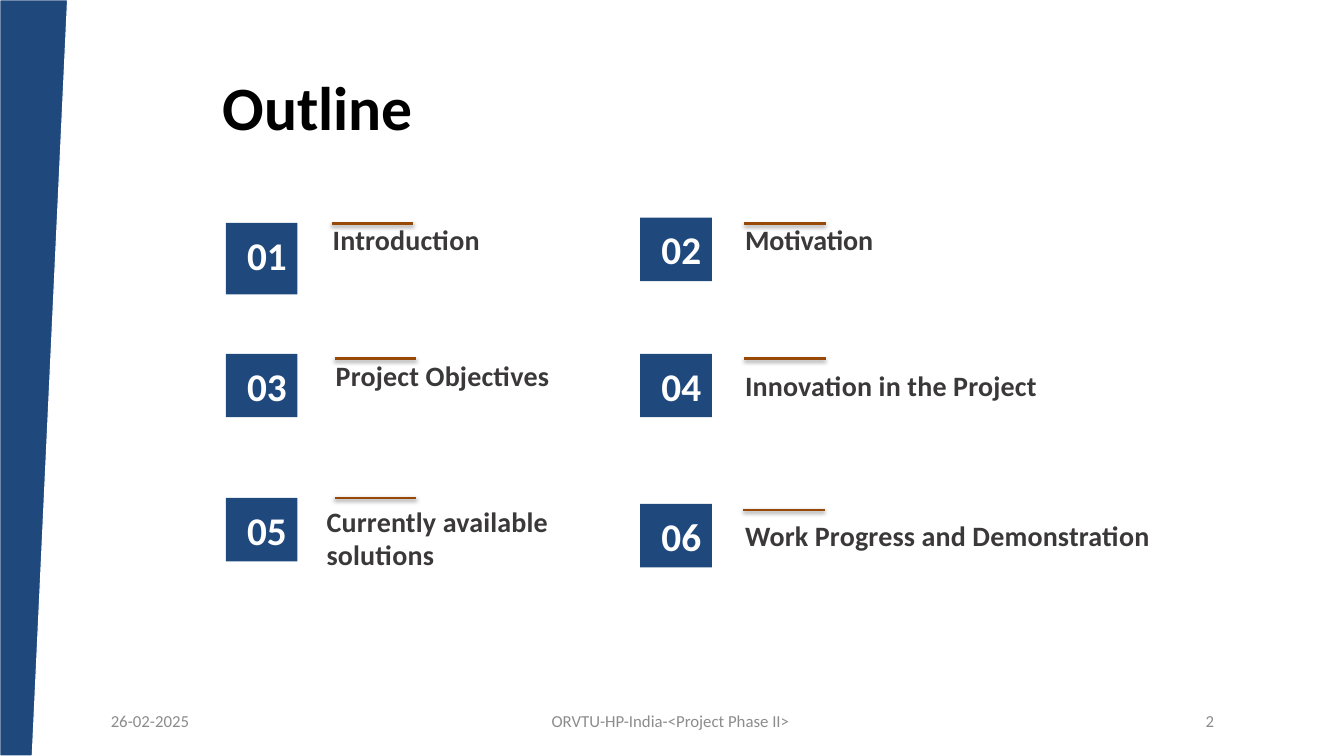
from pptx import Presentation
from pptx.dml.color import RGBColor
from pptx.enum.shapes import MSO_CONNECTOR, MSO_SHAPE
from pptx.enum.text import MSO_ANCHOR, PP_ALIGN
from pptx.oxml import parse_xml
from pptx.oxml.ns import nsdecls
from pptx.util import Inches, Pt

COLORS = {
    "navy": "1F497D",
    "rust": "984807",
    "white": "FFFFFF",
    "title": "000000",
    "topic": "3A3838",
    "footer": "8C8C8C",
}
SHADOW = (
    f'<a:effectLst {nsdecls("a")}><a:outerShdw blurRad="39370" dist="20320" dir="5400000" '
    'rotWithShape="0"><a:srgbClr val="000000"><a:alpha val="38000"/></a:srgbClr>'
    '</a:outerShdw></a:effectLst>'
)


def color(name):
    return RGBColor.from_string(COLORS[name])


def write(box, text, size, tint, bold=False, align=PP_ALIGN.LEFT, anchor=MSO_ANCHOR.TOP,
          insets=(0.1, 0.05, 0.1, 0.05), indent=0, spacing=None, before=0, tracking=0):
    frame = box.text_frame
    frame.word_wrap = True
    frame.vertical_anchor = anchor
    frame.margin_left, frame.margin_top, frame.margin_right, frame.margin_bottom = map(Inches, insets)
    frame.text = text
    for para in frame.paragraphs:
        para.alignment = align
        para.line_spacing = spacing
        para.space_before = Pt(before)
        para.font.name = "Calibri"
        para.font.size = Pt(size)
        para.font.bold = bold
        para.font.color.rgb = color(tint)
        para._p.get_or_add_pPr().set("marL", str(Inches(indent)))
        for span in para.runs:
            span._r.get_or_add_rPr().set("spc", str(tracking))


deck = Presentation()
deck.slide_width, deck.slide_height = Inches(13.33), Inches(7.5)
page = deck.slides.add_slide(deck.slide_layouts[6])

outline = page.shapes.build_freeform(Inches(0.67), 0, scale=1.0)
outline.add_line_segments(
    [(0, 0), (0, Inches(7.5)), (Inches(0.32), Inches(7.5))], close=True)
band = outline.convert_to_shape()
band.shadow.inherit = False
band.fill.solid()
band.fill.fore_color.rgb = color("navy")
band.line.color.rgb = color("white")
band.line.width = Pt(0.75)

title = page.shapes.add_textbox(Inches(2.11), Inches(0.7), Inches(10.03), Inches(0.79))
write(title, "Outline", 44, "title", bold=True, anchor=MSO_ANCHOR.MIDDLE, spacing=0.9)

footers = [
    ("26-02-2025", 1, 2.92, PP_ALIGN.LEFT),
    ("ORVTU-HP-India-<Project Phase II> ", 4.42, 4.5, PP_ALIGN.CENTER),
    ("2", 9.42, 2.72, PP_ALIGN.RIGHT),
]
for text, left, width, align in footers:
    footer = page.shapes.add_textbox(Inches(left), Inches(6.95), Inches(width), Inches(0.4))
    write(footer, text, 12, "footer", align=align, anchor=MSO_ANCHOR.MIDDLE)

grid = page.shapes.add_table(
    2, 2, Inches(2.09), Inches(1.9), Inches(8.12), Inches(3.62)).table
grid.first_row = grid.horz_banding = False
for row, height in zip(grid.rows, (1.5, 2.12)):
    row.height = Inches(height)
for cell in grid.iter_cells():
    cell.fill.background()

topics = [
    ("Introduction", 2.21, 0.71, 3.29, 2.22, 3.29, 2.21, 2.78, 10),
    ("Motivation", 2.16, 0.63, 7.38, 2.22, 7.38, 2.21, 2.85, -10),
    ("Project Objectives", 3.51, 0.63, 3.32, 3.56, 3.32, 3.56, 2.78, 10),
    ("Innovation in the Project", 3.51, 0.63, 7.38, 3.56, 7.38, 3.66, 4.24, 10),
    ("Currently available\nsolutions", 4.94, 0.63, 3.32, 4.94, 3.23, 5.01, 2.21, 10),
    ("Work Progress and Demonstration", 5, 0.63, 7.37, 5.06, 7.38, 5.15, 4.24, 10),
]
for index, (topic, tile_top, tile_height, rule_left, rule_top,
            left, top, width, tracking) in enumerate(topics):
    tile = page.shapes.add_shape(
        MSO_SHAPE.RECTANGLE, Inches((2.24, 6.35)[index % 2]), Inches(tile_top),
        Inches(0.71), Inches(tile_height))
    tile.shadow.inherit = False
    tile.fill.solid()
    tile.fill.fore_color.rgb = color("navy")
    tile.line.fill.background()
    write(tile, f"{index + 1:02d}", 28, "white", bold=True, insets=(0.08,) * 4,
          indent=0.13, before=11.8, tracking=10)

    label = page.shapes.add_textbox(
        Inches(left), Inches(top), Inches(width), Inches(0.34 * len(topic.splitlines())))
    write(label, topic, 20, "topic", bold=True, insets=(0, 0.01, 0, 0),
          indent=0.01, spacing=Pt(22.8), before=1.2, tracking=tracking)

    rule = page.shapes.add_connector(
        MSO_CONNECTOR.STRAIGHT, Inches(rule_left), Inches(rule_top),
        Inches(rule_left + 0.81), Inches(rule_top))
    rule.line.color.rgb = color("rust")
    rule.line.width = Pt(2)
    rule._element.spPr.append(parse_xml(SHADOW))

deck.save("out.pptx")
